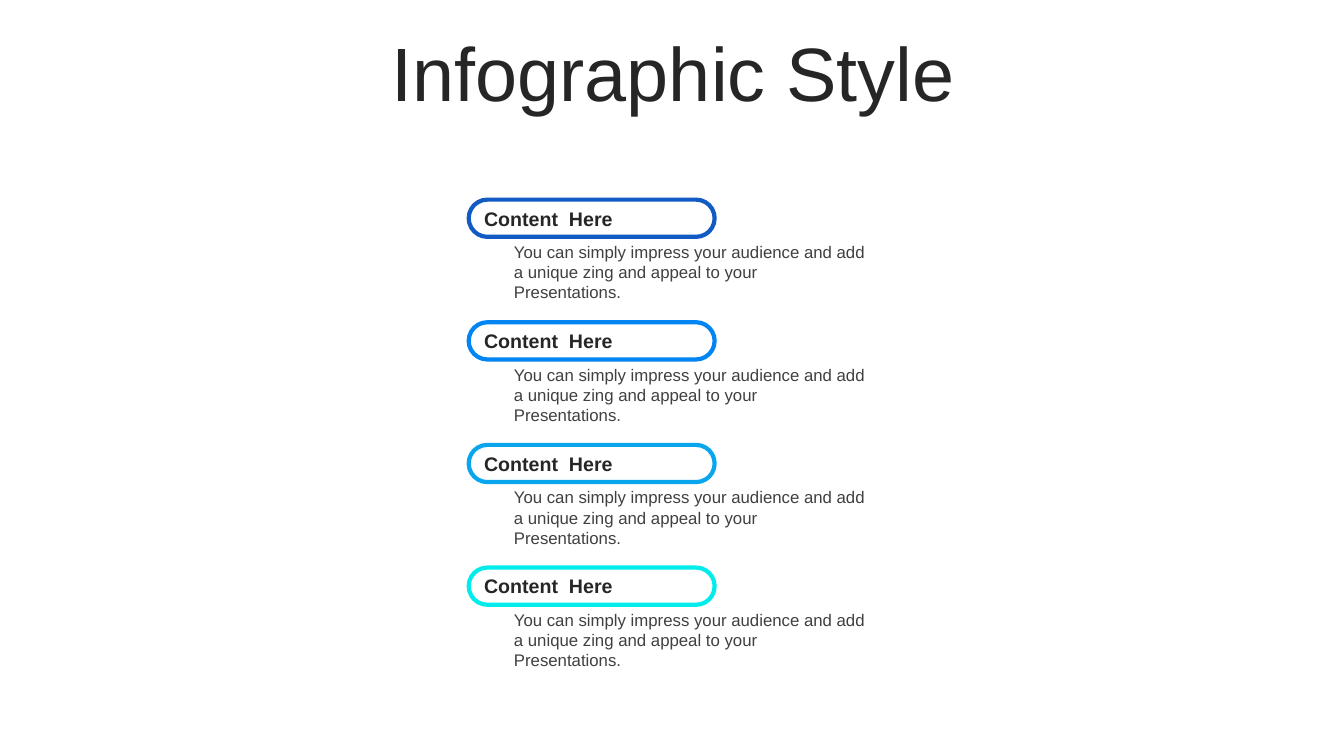
"""Build the infographic slide with four outlined headings and their descriptions."""
from pptx import Presentation, util as u
from pptx.dml.color import RGBColor
from pptx.enum import shapes, text

HEADING = "Content  Here"
DESCRIPTION = ("You can simply impress your audience and add a unique zing "
               "and appeal to your Presentations.")
OUTLINES = ["125AC4", "0085F2", "0AA6ED", "02ECEC"]
FIRST_TOP = 142.6
STEP = 87.6
PILL_HEIGHT = 26.6


def colour(code):
    """Return the colour for a hex string."""
    return RGBColor.from_string(code)


def set_all(target, values):
    """Set each named attribute of the target."""
    for name, value in values.items():
        setattr(target, name, value)


def write(shape, words, size, code, frame_format, para_format, bold=False):
    """Fill a shape with one formatted paragraph."""
    frame = shape.text_frame
    set_all(frame, {"word_wrap": True, "auto_size": text.MSO_AUTO_SIZE.NONE, **frame_format})
    para = frame.paragraphs[0]
    set_all(para, {"space_before": u.Pt(0), **para_format})
    span = para.add_run()
    span.text = words
    set_all(span.font, {"name": "Arial", "size": u.Pt(size), "bold": bold})
    span.font.color.rgb = colour(code)


def add_title(page, words):
    """Place and format the title placeholder."""
    title = page.shapes.title
    set_all(title, {"left": u.Pt(25.2), "top": u.Pt(26.6),
                    "width": u.Pt(911.5), "height": u.Pt(56.9)})
    write(title, words, 54, "262626", {"vertical_anchor": text.MSO_ANCHOR.MIDDLE},
          {"alignment": text.PP_ALIGN.CENTER, "line_spacing": 0.9})


def add_pill(group, top, code):
    """Add an outlined heading with fully rounded ends."""
    pill = group.shapes.add_shape(shapes.MSO_SHAPE.ROUNDED_RECTANGLE, u.Pt(334.8),
                                  u.Pt(top), u.Pt(175.7), u.Pt(PILL_HEIGHT))
    pill.adjustments[0] = 0.5
    pill.shadow.inherit = False
    pill.fill.background()
    pill.line.color.rgb = colour(code)
    pill.line.width = u.Pt(3)
    write(pill, HEADING, 14, "262626", {"vertical_anchor": text.MSO_ANCHOR.MIDDLE},
          {"alignment": text.PP_ALIGN.LEFT}, bold=True)


def add_description(group, top):
    """Add the text below a heading."""
    box = group.shapes.add_textbox(u.Pt(360), u.Pt(top), u.Pt(265.7), u.Pt(36))
    write(box, DESCRIPTION, 12, "404040", {"vertical_anchor": text.MSO_ANCHOR.TOP},
          {"alignment": text.PP_ALIGN.LEFT})


def main():
    """Build and save the deck."""
    deck = Presentation()
    set_all(deck, {"slide_width": u.Pt(960), "slide_height": u.Pt(540)})
    page = deck.slides.add_slide(deck.slide_layouts[5])
    add_title(page, "Infographic Style")
    for index, code in enumerate(OUTLINES):
        top = FIRST_TOP + index * STEP
        group = page.shapes.add_group_shape()
        add_pill(group, top, code)
        add_description(group, top + PILL_HEIGHT)
    deck.save("out.pptx")


if __name__ == "__main__":
    main()
